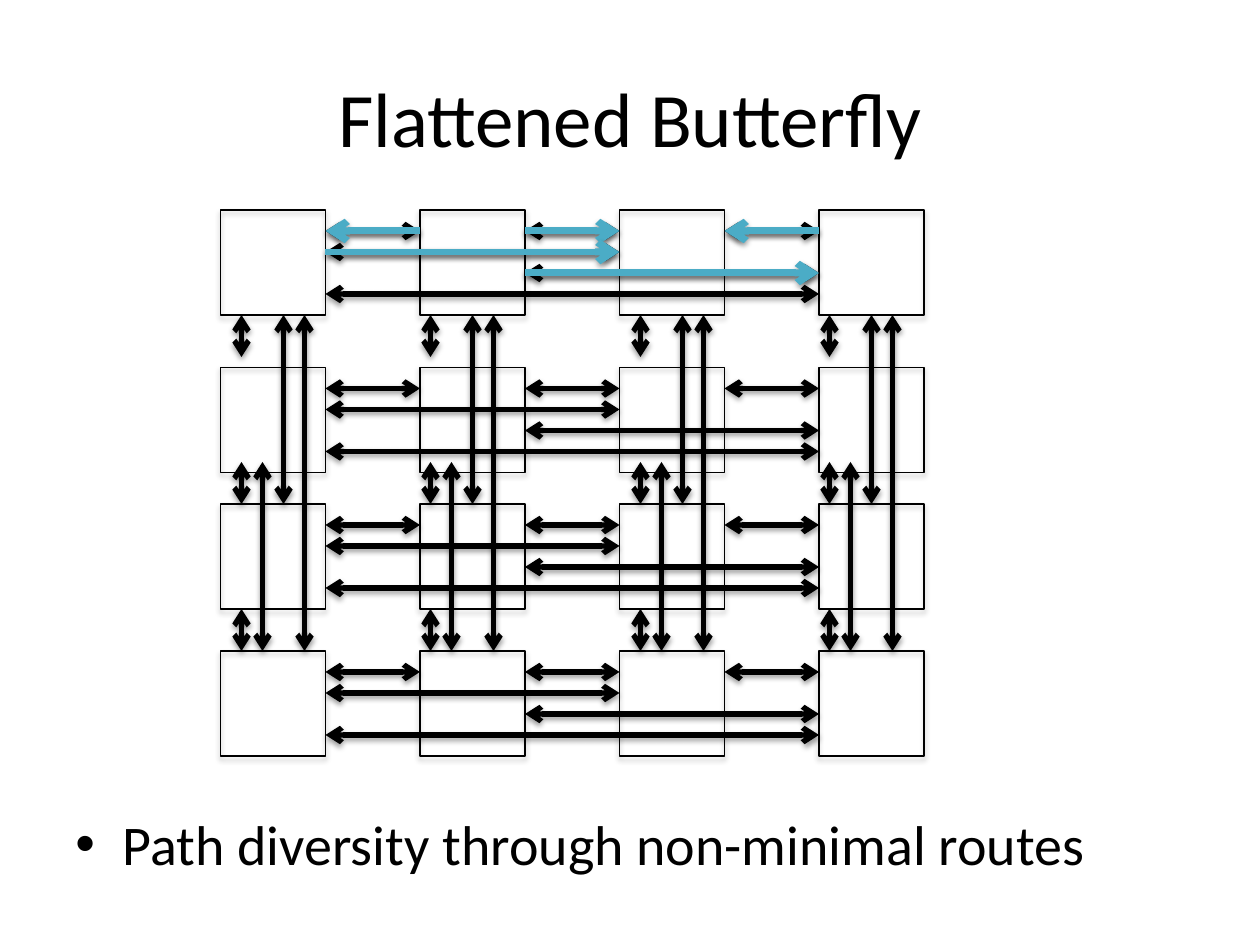
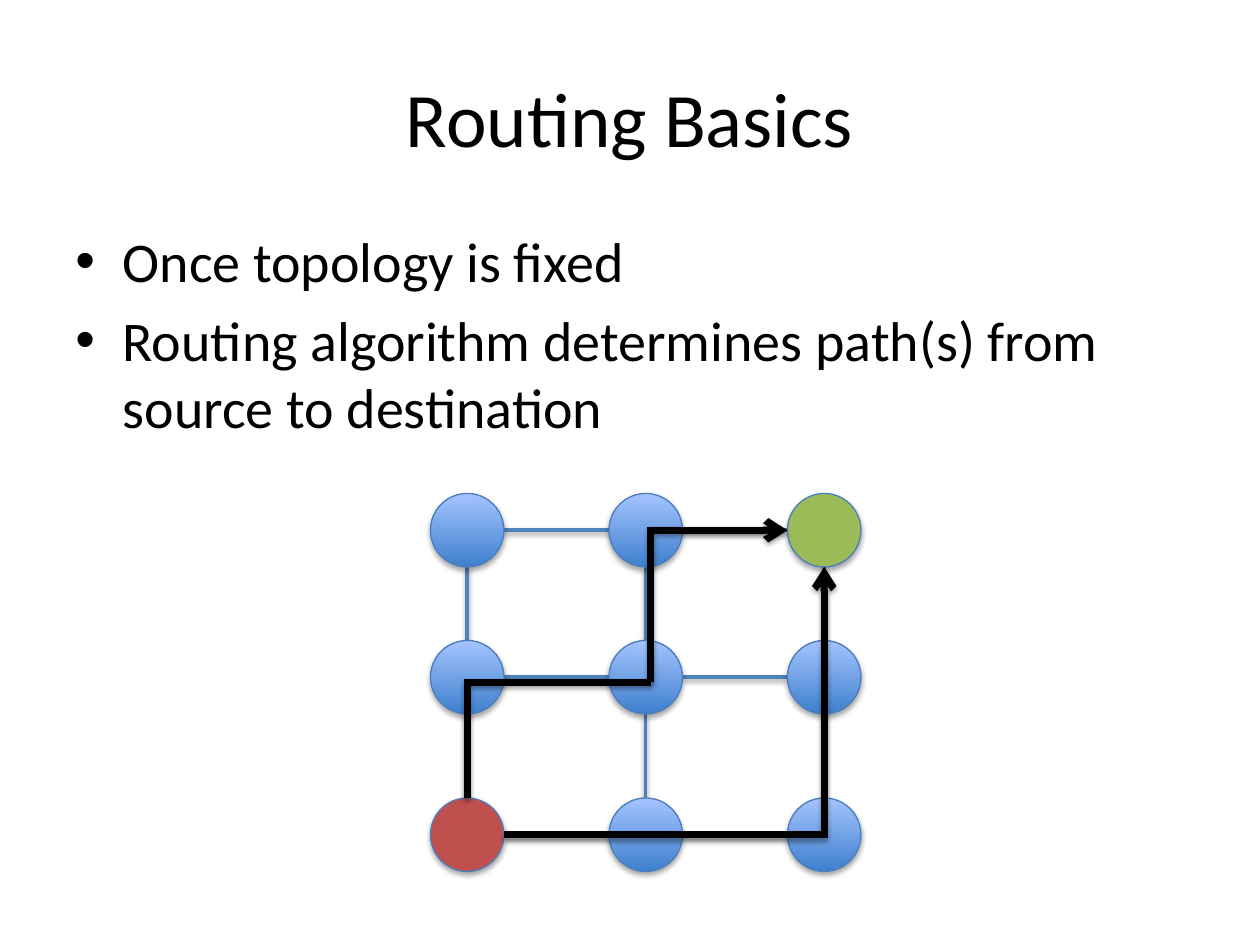
from pptx import Presentation
from pptx.dml.color import RGBColor
from pptx.enum.shapes import MSO_CONNECTOR, MSO_SHAPE
from pptx.enum.text import MSO_ANCHOR, PP_ALIGN
from pptx.oxml import parse_xml
from pptx.oxml.ns import nsdecls
from pptx.util import Pt

BLACK = RGBColor(0x00, 0x00, 0x00)
TEAL = RGBColor(0x4B, 0xAC, 0xC6)
LINK_BLUE = RGBColor(0x4F, 0x81, 0xBD)
NODE_EDGE = RGBColor(0x4B, 0x7E, 0xBC)
NODE_DARK = RGBColor(0x3F, 0x80, 0xCE)
NODE_LIGHT = RGBColor(0xA4, 0xC4, 0xFF)
SOURCE_RED = RGBColor(0xC0, 0x50, 0x4D)
TARGET_GREEN = RGBColor(0x9B, 0xBB, 0x59)

FONT = "Calibri"
SHADOW = (
    f'<a:effectLst {nsdecls("a")}>'
    '<a:outerShdw blurRad="39400" dist="%d" dir="5400000" rotWithShape="0">'
    '<a:srgbClr val="000000"><a:alpha val="%d"/></a:srgbClr>'
    '</a:outerShdw></a:effectLst>'
)
SHAPE_SHADOW = SHADOW % (23000, 35000)
LINE_SHADOW = SHADOW % (20000, 38000)


def add_text(page, lines, left, top, width, height, size=32, bullet=False,
             align=PP_ALIGN.LEFT, anchor=MSO_ANCHOR.TOP):
    box = page.shapes.add_textbox(Pt(left), Pt(top), Pt(width), Pt(height))
    frame = box.text_frame
    frame.word_wrap = True
    frame.vertical_anchor = anchor
    for index, line in enumerate(lines):
        para = frame.add_paragraph() if index else frame.paragraphs[0]
        para.alignment = align
        if index:
            para.space_before = Pt(size * 0.2)
        if bullet:
            properties = para._p.get_or_add_pPr()
            properties.set("marL", str(Pt(27)))
            properties.set("indent", str(-Pt(27)))
            properties.append(parse_xml(f'<a:buFont {nsdecls("a")} typeface="Arial"/>'))
            properties.append(parse_xml(f'<a:buChar {nsdecls("a")} char="•"/>'))
        span = para.add_run()
        span.text = line
        span.font.name = FONT
        span.font.size = Pt(size)
        span.font.color.rgb = BLACK


def add_line(page, points, color=BLACK, width=3, ends=()):
    """Draw a straight connector, or an open outline when the line has corners."""
    points = [(Pt(x), Pt(y)) for x, y in points]
    if len(points) == 2:
        line = page.shapes.add_connector(MSO_CONNECTOR.STRAIGHT, *points[0], *points[1])
    else:
        builder = page.shapes.build_freeform(*points[0])
        builder.add_line_segments(points[1:], close=False)
        line = builder.convert_to_shape()
        line.fill.background()
    line.line.color.rgb = color
    line.line.width = Pt(width)
    stroke = line.line._get_or_add_ln()
    stroke.append(parse_xml(f'<a:miter {nsdecls("a")} lim="800000"/>'))
    for end in ends:
        stroke.append(parse_xml(f'<a:{end} {nsdecls("a")} type="arrow"/>'))
    line._element.spPr.append(parse_xml(LINE_SHADOW))


deck = Presentation()
deck.slide_width, deck.slide_height = Pt(720), Pt(540)

# Shared titles and bullet lists
contents = [
    ("Flattened Butterfly", ["Path diversity through non-minimal routes"], 459, 50),
    ("Routing Basics",
     ["Once topology is fixed",
      "Routing algorithm determines path(s) from source to destination"], 126, 174),
]
pages = []
for title, bullets, top, height in contents:
    page = deck.slides.add_slide(deck.slide_layouts[6])
    add_text(page, [title], 36, 21.6, 648, 90, size=44,
             align=PP_ALIGN.CENTER, anchor=MSO_ANCHOR.MIDDLE)
    add_text(page, bullets, 36, top, 648, height, bullet=True)
    pages.append(page)
butterfly, routing = pages

# Butterfly: 4 x 4 routers
ROUTER = 60
LANE = 12
router_lefts = [126 + 114 * column for column in range(4)]
router_tops = [120, 210, 288, 372]
for left in router_lefts:
    for top in router_tops:
        router = butterfly.shapes.add_shape(
            MSO_SHAPE.RECTANGLE, Pt(left), Pt(top), Pt(ROUTER), Pt(ROUTER))
        router.fill.background()
        router.line.color.rgb = BLACK
        router.line.width = Pt(0.75)
        router._element.spPr.append(parse_xml(SHAPE_SHADOW))

# Row links: (from column, to column, lane)
both_ends = ("headEnd", "tailEnd")
row_links = [(0, 1, 1), (1, 2, 1), (2, 3, 1), (0, 2, 2), (0, 3, 4), (1, 3, 3)]
for top in router_tops:
    for first, last, lane in row_links:
        y = top + LANE * lane
        add_line(butterfly, [(router_lefts[first] + ROUTER, y), (router_lefts[last], y)],
                 ends=both_ends)

# Column links: (from y, to y, lane)
column_links = [(180, 204, 0), (264, 288, 0), (348, 372, 0),
                (264, 372, 1), (180, 288, 2), (180, 372, 3)]
for lane_left in (138, 246, 366, 474):
    for start, end, lane in column_links:
        x = lane_left + LANE * lane
        add_line(butterfly, [(x, start), (x, end)], ends=both_ends)

# Highlighted hops: (from x, to x, lane)
for start, end, lane in [(300, 354, 1), (240, 186, 1), (186, 354, 2),
                         (300, 468, 3), (468, 414, 1)]:
    y = router_tops[0] + LANE * lane
    add_line(butterfly, [(start, y), (end, y)], TEAL, 4, ["tailEnd"])

# Routing: mesh links between 3 x 3 nodes
RADIUS = 21
node_xs = [267, 369, 471]
node_ys = [303, 387, 477]
for y in node_ys:
    for left, right in zip(node_xs, node_xs[1:]):
        add_line(routing, [(left + RADIUS, y), (right - RADIUS, y)], LINK_BLUE, 2)
for x in node_xs:
    for upper, lower in zip(node_ys, node_ys[1:]):
        add_line(routing, [(x, upper + RADIUS), (x, lower - RADIUS)], LINK_BLUE, 2)

# Nodes, with source and destination in solid colours
special_nodes = {(267, 477): SOURCE_RED, (471, 303): TARGET_GREEN}
for y in node_ys:
    for x in node_xs:
        node = routing.shapes.add_shape(
            MSO_SHAPE.OVAL, Pt(x - RADIUS), Pt(y - RADIUS), Pt(2 * RADIUS), Pt(2 * RADIUS))
        if (x, y) in special_nodes:
            node.fill.solid()
            node.fill.fore_color.rgb = special_nodes[x, y]
        else:
            node.fill.gradient()
            node.fill.gradient_angle = 90
            for stop, color in zip(node.fill.gradient_stops, (NODE_DARK, NODE_LIGHT)):
                stop.color.rgb = color
        node.line.color.rgb = NODE_EDGE
        node.line.width = Pt(0.75)
        node._element.spPr.append(parse_xml(SHAPE_SHADOW))

# Two routes from source to destination
add_line(routing, [(288, 477), (471, 477), (471, 324)], width=4, ends=["tailEnd"])
add_line(routing, [(267, 456), (267, 390), (372, 390)], width=4)
add_line(routing, [(372, 390), (372, 303), (450, 303)], width=4, ends=["tailEnd"])

deck.save("out.pptx")
